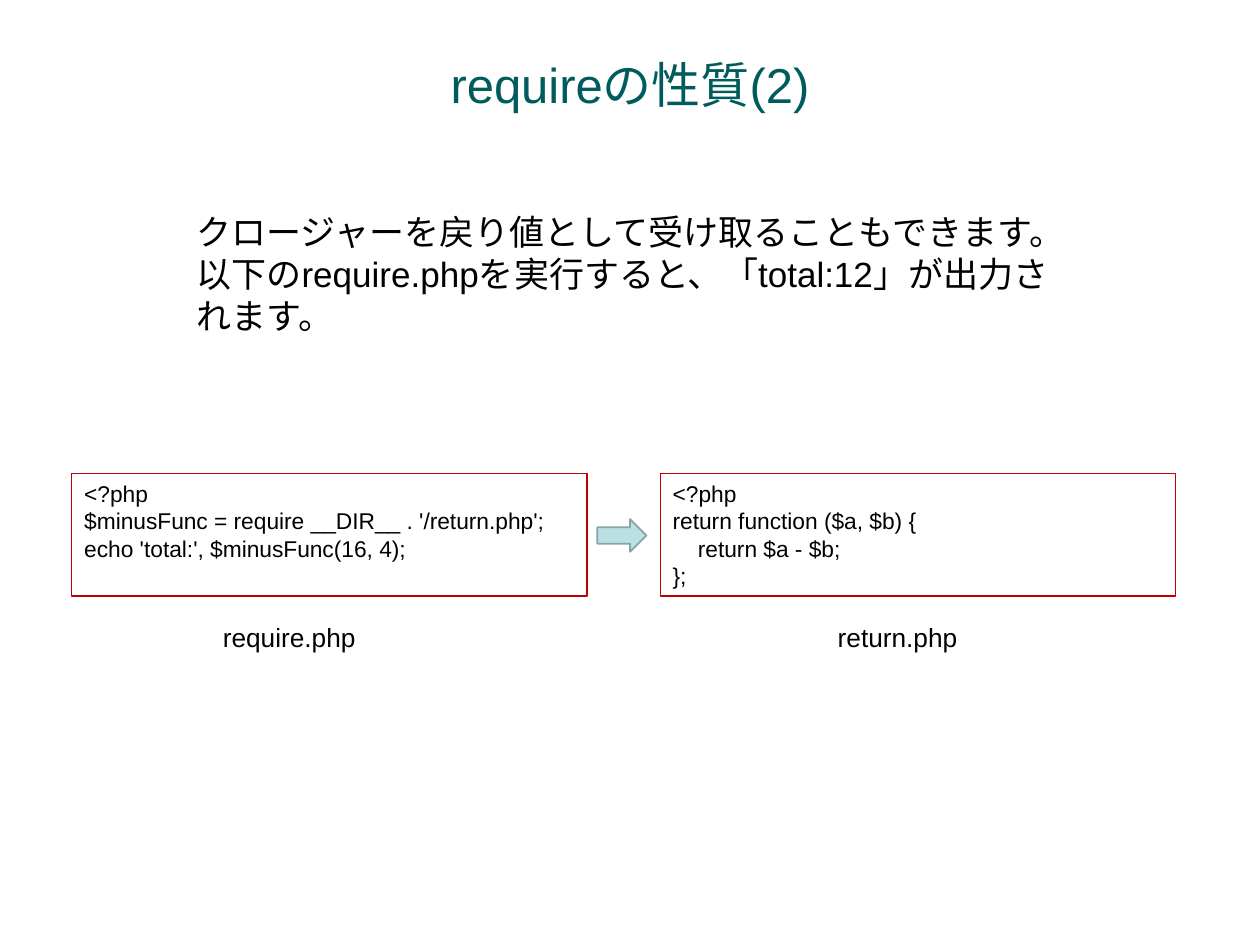
from dataclasses import dataclass

from pptx import Presentation
from pptx.dml.color import RGBColor
from pptx.enum.shapes import MSO_SHAPE as Shape
from pptx.enum.text import MSO_ANCHOR as Anchor, PP_ALIGN as Align
from pptx.util import Inches, Pt

TITLE = "requireの性質(2)"
MESSAGE = [
    "クロージャーを戻り値として受け取ることもできます。",
    "以下のrequire.phpを実行すると、「total:12」が出力されます。",
]
FILES = [
    {
        "name": "require.php",
        "name_left": 1.67,
        "code": [
            (0, "<?php"),
            (0, "$minusFunc = require __DIR__ . '/return.php';"),
            (0, "echo 'total:', $minusFunc(16, 4);"),
        ],
    },
    {
        "name": "return.php",
        "name_left": 6.55,
        "code": [
            (0, "<?php"),
            (0, "return function ($a, $b) {"),
            (1, "return $a - $b;"),
            (0, "};"),
        ],
    },
]
CODE_LEFT, CODE_TOP, CODE_WIDTH, CODE_HEIGHT, CODE_STEP = 0.57, 3.76, 4.09, 0.97, 4.67
CODE_INDENT = 0.2
NAME_TOP, NAME_WIDTH, NAME_HEIGHT = 4.88, 1.89, 0.35
ARROW = (4.74, 4.12, 0.39, 0.26)


@dataclass(frozen=True)
class Theme:
    font: str = "Arial"
    title: str = "005C5C"
    text: str = "000000"
    code_line: str = "C00000"
    arrow_fill: str = "BBE0E3"
    arrow_line: str = "89A4A7"
    title_size: int = 28
    message_size: int = 20
    code_size: int = 13
    name_size: int = 15


THEME = Theme()


def write(box, lines, size, color=THEME.text, align=Align.LEFT, anchor=Anchor.TOP):
    """Fill a box with (indent level, text) lines."""
    frame = box.text_frame
    frame.word_wrap = True
    frame.vertical_anchor = anchor
    for index, (level, text) in enumerate(lines):
        para = frame.paragraphs[0] if index == 0 else frame.add_paragraph()
        para.alignment = align
        if level:
            para._p.get_or_add_pPr().set("marL", str(Inches(CODE_INDENT * level)))
        span = para.add_run()
        span.text = text
        span.font.name = THEME.font
        span.font.size = Pt(size)
        span.font.color.rgb = RGBColor.from_string(color)


def add_text(page, area, lines, size, **style):
    """Add a text box."""
    box = page.shapes.add_textbox(*map(Inches, area))
    write(box, lines, size, **style)


def add_outline(page, kind, area, line, width, fill=None):
    """Add a preset shape with a coloured outline."""
    shape = page.shapes.add_shape(kind, *map(Inches, area))
    shape.shadow.inherit = False
    shape.line.color.rgb = RGBColor.from_string(line)
    shape.line.width = Pt(width)
    if fill:
        shape.fill.solid()
        shape.fill.fore_color.rgb = RGBColor.from_string(fill)
    else:
        shape.fill.background()
    return shape


def main():
    """Build the slide and save the deck."""
    deck = Presentation()
    deck.slide_width, deck.slide_height = Inches(10), Inches(7.5)
    page = deck.slides.add_slide(deck.slide_layouts[6])

    add_text(page, (0.75, 0.25, 8.5, 0.83), [(0, TITLE)], THEME.title_size,
             color=THEME.title, align=Align.CENTER, anchor=Anchor.MIDDLE)
    add_text(page, (1.46, 1.62, 7.08, 1.44), [(0, text) for text in MESSAGE],
             THEME.message_size)

    for index, file in enumerate(FILES):
        area = (CODE_LEFT + index * CODE_STEP, CODE_TOP, CODE_WIDTH, CODE_HEIGHT)
        box = add_outline(page, Shape.RECTANGLE, area, THEME.code_line, 0.75)
        write(box, file["code"], THEME.code_size)
        add_text(page, (file["name_left"], NAME_TOP, NAME_WIDTH, NAME_HEIGHT),
                 [(0, file["name"])], THEME.name_size)

    add_outline(page, Shape.RIGHT_ARROW, ARROW, THEME.arrow_line, 1, THEME.arrow_fill)
    deck.save("out.pptx")


if __name__ == "__main__":
    main()
